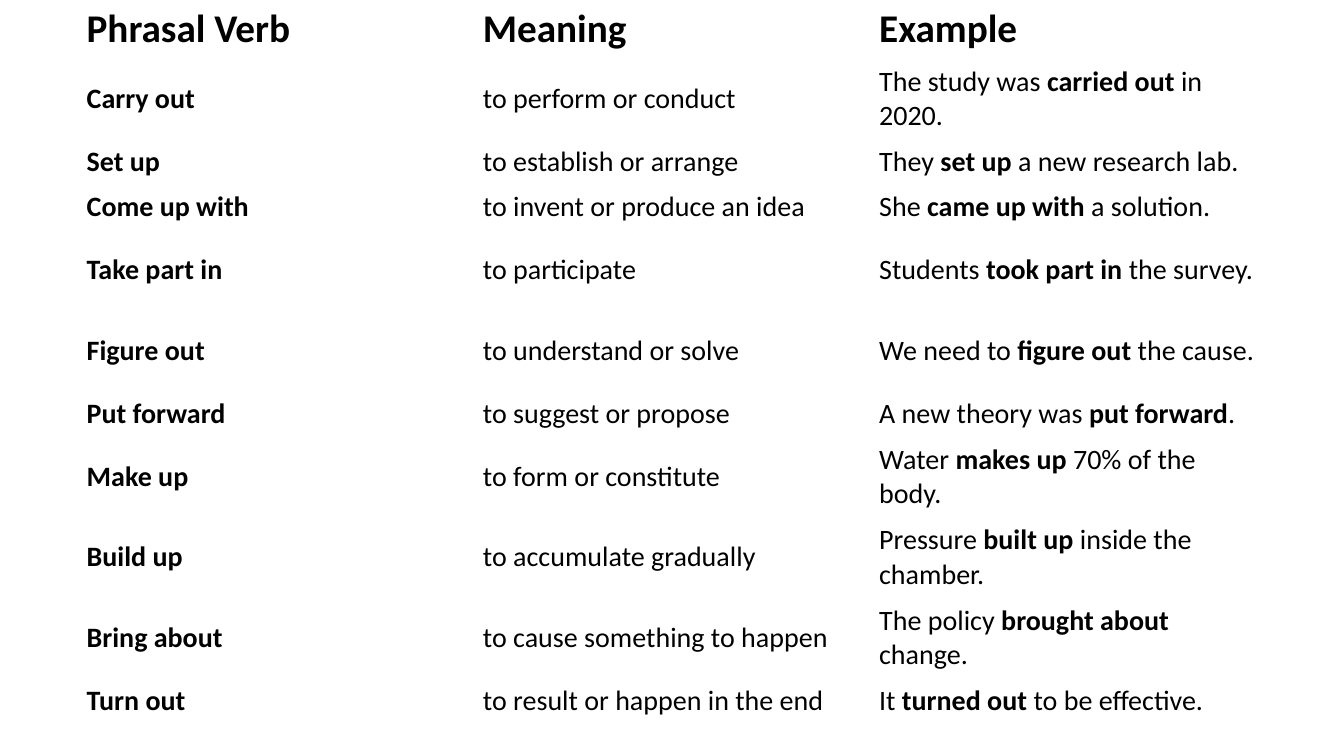
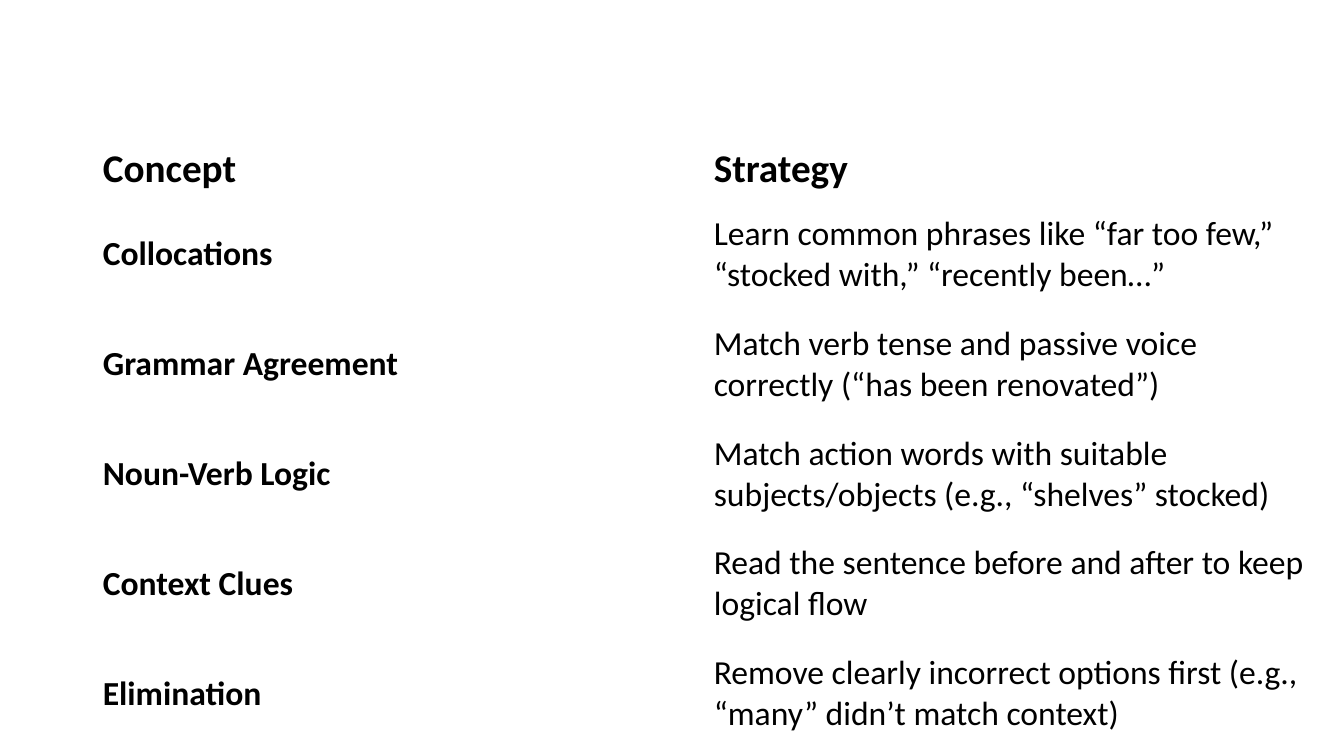
from pptx import Presentation
from pptx.dml.color import RGBColor
from pptx.enum.text import MSO_ANCHOR
from pptx.util import Inches, Pt

MIDDLE = MSO_ANCHOR.MIDDLE
FONT = "Calibri"
BLACK = "000000"
HEADER_SIZE = 28
BOLD_MARK = "*"

PHRASAL_VERBS = [
    ("Phrasal Verb", "Meaning", "Example"),
    ("Carry out", "to perform or conduct", "The study was *carried out* in 2020."),
    ("Set up", "to establish or arrange", "They *set up* a new research lab."),
    ("Come up with", "to invent or produce an idea", "She *came up with* a solution."),
    ("Take part in", "to participate", "Students *took part in* the survey."),
    ("Figure out", "to understand or solve", "We need to *figure out* the cause."),
    ("Put forward", "to suggest or propose", "A new theory was *put forward*."),
    ("Make up", "to form or constitute", "Water *makes up* 70% of the body."),
    ("Build up", "to accumulate gradually", "Pressure *built up* inside the chamber."),
    ("Bring about", "to cause something to happen", "The policy *brought about* change."),
    ("Turn out", "to result or happen in the end", "It *turned out* to be effective."),
]
SHORT_ROW, TALL_ROW = 0.45, 0.8
SHORT_VERBS = {"Set up", "Come up with", "Put forward", "Turn out"}

STRATEGIES = [
    ("Concept", "Strategy"),
    ("Collocations", "Learn common phrases like “far too few,” “stocked with,” “recently been…”"),
    ("Grammar Agreement", "Match verb tense and passive voice correctly (“has been renovated”)"),
    ("Noun-Verb Logic", "Match action words with suitable subjects/objects (e.g., “shelves” stocked)"),
    ("Context Clues", "Read the sentence before and after to keep logical flow"),
    ("Elimination", "Remove clearly incorrect options first (e.g., “many” didn’t match context)"),
]


def color(value):
    return RGBColor.from_string(value)


def write_text(cell, text, *, size, bold):
    cell.fill.background()
    cell.vertical_anchor = MIDDLE
    para = cell.text_frame.paragraphs[0]
    for index, part in enumerate(text.split(BOLD_MARK)):
        span = para.add_run()
        span.text = part
        span.font.name = FONT
        span.font.size = Pt(size)
        span.font.bold = bold or index % 2 == 1
        span.font.color.rgb = color(BLACK)


def add_plain_table(page, rows, *, left, top, column_width, row_heights, body_size):
    column_count = len(rows[0])
    frame = page.shapes.add_table(
        len(rows), column_count, Inches(left), Inches(top),
        Inches(column_width * column_count), Inches(sum(row_heights)))
    table = frame.table
    table.first_row = False
    table.horz_banding = False
    for column in table.columns:
        column.width = Inches(column_width)
    for row, height in zip(table.rows, row_heights):
        row.height = Inches(height)
    for row_index, texts in enumerate(rows):
        is_header = row_index == 0
        for column_index, text in enumerate(texts):
            write_text(table.cell(row_index, column_index), text,
                       size=HEADER_SIZE if is_header else body_size,
                       bold=is_header or column_index == 0)


def main():
    deck = Presentation()
    deck.slide_width = Inches(13.33)
    deck.slide_height = Inches(7.5)
    blank = deck.slide_layouts[6]

    verb_heights = [SHORT_ROW if row[0] in SHORT_VERBS else TALL_ROW
                    for row in PHRASAL_VERBS[1:]]
    add_plain_table(deck.slides.add_slide(blank), PHRASAL_VERBS,
                    left=0.76, top=0, column_width=3.93,
                    row_heights=[0.58] + verb_heights, body_size=20)

    add_plain_table(deck.slides.add_slide(blank), STRATEGIES,
                    left=0.92, top=1.37, column_width=6.06,
                    row_heights=[0.61] + [1.09] * (len(STRATEGIES) - 1), body_size=24)

    deck.save("out.pptx")


if __name__ == "__main__":
    main()
